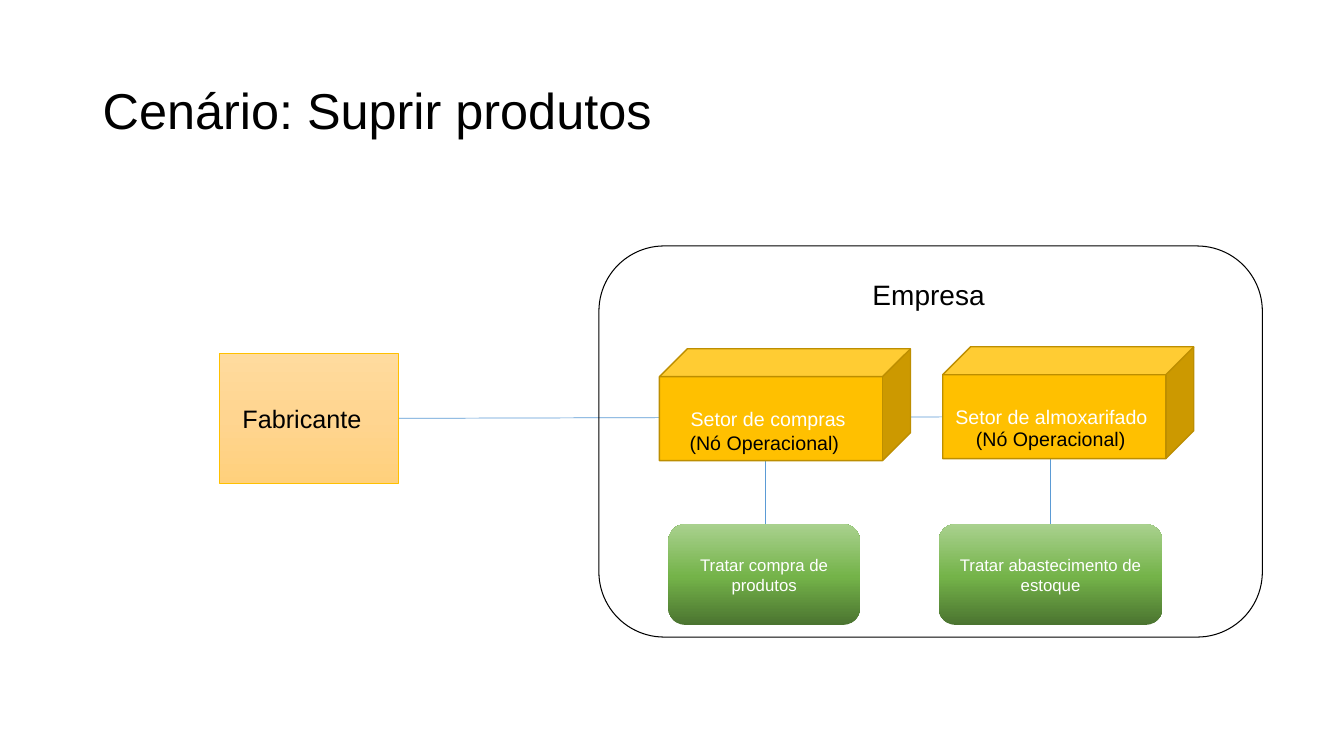
from copy import deepcopy

from pptx import Presentation
from pptx.dml.color import RGBColor
from pptx.enum.shapes import MSO_CONNECTOR, MSO_SHAPE
from pptx.enum.text import MSO_ANCHOR, PP_ALIGN
from pptx.oxml.ns import qn
from pptx.util import Inches, Pt

LINE = MSO_CONNECTOR.STRAIGHT
RECT, ROUND, CUBE = MSO_SHAPE.RECTANGLE, MSO_SHAPE.ROUNDED_RECTANGLE, MSO_SHAPE.CUBE
MIDDLE, TOP = MSO_ANCHOR.MIDDLE, MSO_ANCHOR.TOP
LEFT, CENTER = PP_ALIGN.LEFT, PP_ALIGN.CENTER

BLACK = RGBColor(0x00, 0x00, 0x00)
WHITE = RGBColor(0xFF, 0xFF, 0xFF)
BLUE = RGBColor(0x5B, 0x9B, 0xD5)
GOLD = RGBColor(0xFF, 0xC0, 0x00)
BROWN = RGBColor(0xBD, 0x8E, 0x00)
GREENS = [(0, RGBColor(0x4B, 0x74, 0x30)), (0.48, RGBColor(0x74, 0xB3, 0x49)),
          (1, RGBColor(0xA9, 0xD1, 0x8E))]
PEACHES = [(0, RGBColor(0xFF, 0xDB, 0x9E)), (0.5, RGBColor(0xFF, 0xD5, 0x90)),
           (1, RGBColor(0xFF, 0xD0, 0x7C))]

prs = Presentation()
prs.slide_width, prs.slide_height = Inches(13.33), Inches(7.5)
slide = prs.slides.add_slide(prs.slide_layouts[6])
shapes = slide.shapes


def write(box, text, size, color, align=CENTER, anchor=MIDDLE, wrap=True):
    frame = box.text_frame
    frame.word_wrap = wrap
    frame.vertical_anchor = anchor
    para = frame.paragraphs[0]
    para.text = text
    para.alignment = align
    para.font.name, para.font.size = "Arial", Pt(size)
    para.font.color.rgb = color
    return para


def add_block(kind, area, fill=None, angle=0, edge=None, width=0):
    block = shapes.add_shape(kind, *map(Inches, area))
    block.shadow.inherit = False
    if isinstance(fill, list):
        block.fill.gradient()
        block.fill.gradient_angle = angle
        # A new gradient has two stops; add the middle one
        stops = block._element.spPr.find(".//" + qn("a:gsLst"))
        stops.insert(1, deepcopy(stops[0]))
        for stop, (place, color) in zip(block.fill.gradient_stops, fill):
            stop.position, stop.color.rgb = place, color
    elif fill:
        block.fill.solid()
        block.fill.fore_color.rgb = fill
    else:
        block.fill.background()
    if edge is None:
        block.line.fill.background()
    else:
        block.line.color.rgb, block.line.width = edge, Pt(width)
    return block


# Links, behind all blocks
for ends in [(7.59, 4.2, 7.59, 5.2), (10.42, 4.19, 10.42, 5.2),
             (3.95, 4.15, 11.56, 4.13)]:
    link = shapes.add_connector(LINE, *map(Inches, ends))
    link.line.color.rgb, link.line.width = BLUE, Pt(0.5)
    props = link._element.spPr
    props.append(props.makeelement(qn("a:effectLst"), {}))

# Title
title = shapes.add_textbox(Inches(0.92), Inches(0.4), Inches(11.5), Inches(1.45))
write(title, "Cenário: Suprir produtos", 36, BLACK, LEFT).line_spacing = 0.9

# Company frame and its name
firm = shapes.add_textbox(Inches(6.17), Inches(2.7), Inches(6.08), Inches(0.44))
write(firm, "Empresa", 20, BLACK, anchor=TOP)
add_block(ROUND, (5.94, 2.44, 6.58, 3.88), edge=BLACK, width=0.75)

# Maker
maker = add_block(RECT, (2.18, 3.51, 1.77, 1.29), PEACHES, 270, GOLD, 0.5)
write(maker, "Fabricante  ", 18, BLACK)

# Sectors: cube, node label and task
sectors = [
    ("Setor de compras ", 6.54, 3.46, 6.74, 4.23,
     "Tratar compra de produtos", 6.63, 1.9),
    ("Setor de almoxarifado ", 9.35, 3.44, 9.58, 4.19,
     "Tratar abastecimento de estoque", 9.31, 2.22),
]
for name, left, top, node_x, node_y, task, task_x, task_w in sectors:
    cube = add_block(CUBE, (left, top, 2.49, 1.11), GOLD, edge=BROWN, width=1)
    write(cube, name, 14, WHITE)
    node = shapes.add_textbox(Inches(node_x), Inches(node_y), Inches(1.69), Inches(0.34))
    write(node, "(Nó Operacional)", 14, BLACK, LEFT, TOP, wrap=False)
    job = add_block(ROUND, (task_x, 5.2, task_w, 1), GREENS, 90)
    write(job, task, 12, WHITE)

prs.save("out.pptx")
